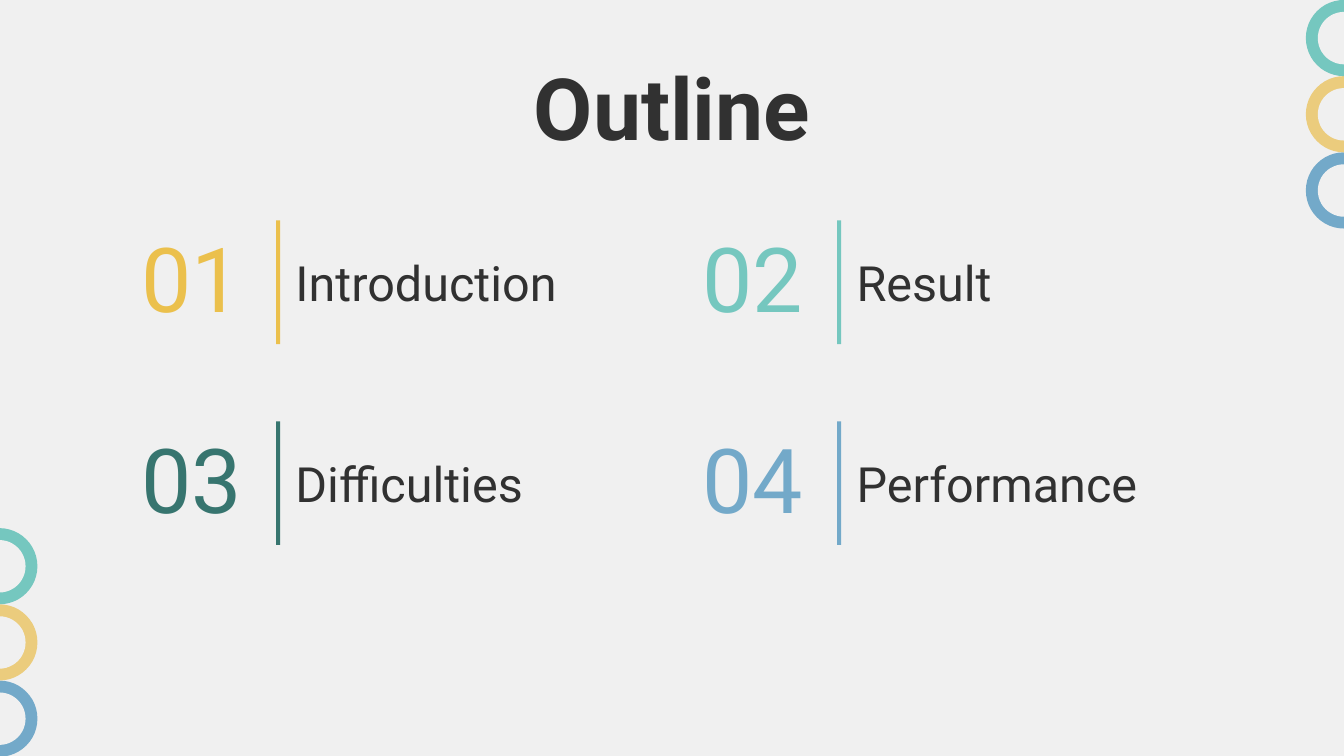
from dataclasses import dataclass

from pptx import Presentation
from pptx.dml.color import RGBColor
from pptx.enum import shapes, text
from pptx.util import Inches, Pt

BACKGROUND, INK = "F0F0F0", "313131"
TEAL, SAND, BLUE = "75C7BF", "EBCC7D", "73A9C9"
GOLD, PINE = "EBC04C", "37756F"
RING, HOLE = 0.567, 0.39
LEFT, TOP = 0.89, 1.64
COLUMN_STEP, ROW_STEP = 4.175, 1.495
ROW_HEIGHT = 0.92


@dataclass
class Topic:
    number: str
    name: str
    color: str


@dataclass
class RingStack:
    center_x: float
    top: float


TOPICS = [
    Topic("01", "Introduction", GOLD),
    Topic("02", "Result", TEAL),
    Topic("03", "Difficulties", PINE),
    Topic("04", "Performance", BLUE),
]
RING_STACKS = [RingStack(10, 0), RingStack(-0.005, 3.93)]


def rgb(color: str) -> RGBColor:
    return RGBColor.from_string(color)


def add_filled(slide, kind, left: float, top: float, width: float,
               height: float, color: str) -> None:
    shape = slide.shapes.add_shape(
        kind, Inches(left), Inches(top), Inches(width), Inches(height))
    shape.shadow.inherit = False
    shape.fill.solid()
    shape.fill.fore_color.rgb = rgb(color)
    shape.line.fill.background()


def add_label(slide, words: str, left: float, top: float, width: float,
              height: float, color: str, anchor, alignment, size: int,
              bold: bool = False, space_after: int = 0) -> None:
    box = slide.shapes.add_textbox(
        Inches(left), Inches(top), Inches(width), Inches(height))
    frame = box.text_frame
    margins = {f"margin_{side}": Inches(0.1)
               for side in ("left", "top", "right", "bottom")}
    frame_format = {"word_wrap": True, "vertical_anchor": anchor, **margins}
    for name, value in frame_format.items():
        setattr(frame, name, value)
    paragraph = frame.paragraphs[0]
    paragraph.alignment = alignment
    paragraph.space_after = Pt(space_after)
    run = paragraph.add_run()
    run.text = words
    font_format = {"name": "Roboto", "size": Pt(size), "bold": bold}
    for name, value in font_format.items():
        setattr(run.font, name, value)
    run.font.color.rgb = rgb(color)


def add_rings(slide, stack: RingStack) -> None:
    for index, color in reversed(list(enumerate((TEAL, SAND, BLUE)))):
        center_y = stack.top + (index + 0.5) * RING
        for diameter, fill in ((RING, color), (HOLE, BACKGROUND)):
            add_filled(slide, shapes.MSO_SHAPE.OVAL,
                       stack.center_x - diameter / 2, center_y - diameter / 2,
                       diameter, diameter, fill)


def add_topic(slide, topic: Topic, left: float, top: float) -> None:
    add_label(slide, topic.number, left, top, 1.01, ROW_HEIGHT, topic.color,
              text.MSO_ANCHOR.BOTTOM, text.PP_ALIGN.RIGHT, 48)
    add_filled(slide, shapes.MSO_SHAPE.RECTANGLE, left + 1.165, top, 0.03,
               ROW_HEIGHT, topic.color)
    add_label(slide, topic.name, left + 1.21, top + 0.145, 2.76, 0.37, INK,
              text.MSO_ANCHOR.TOP, text.PP_ALIGN.LEFT, 26, space_after=16)


def main() -> None:
    deck = Presentation()
    deck.slide_width, deck.slide_height = Inches(10), Inches(5.625)
    slide = deck.slides.add_slide(deck.slide_layouts[6])
    slide.background.fill.solid()
    slide.background.fill.fore_color.rgb = rgb(BACKGROUND)

    for stack in RING_STACKS:
        add_rings(slide, stack)
    add_label(slide, "Outline", 0.79, 0.59, 8.42, 0.4, INK,
              text.MSO_ANCHOR.MIDDLE, text.PP_ALIGN.CENTER, 46, bold=True)
    for index, topic in enumerate(TOPICS):
        row, column = divmod(index, 2)
        add_topic(slide, topic, LEFT + column * COLUMN_STEP,
                  TOP + row * ROW_STEP)

    deck.save("out.pptx")


if __name__ == "__main__":
    main()
